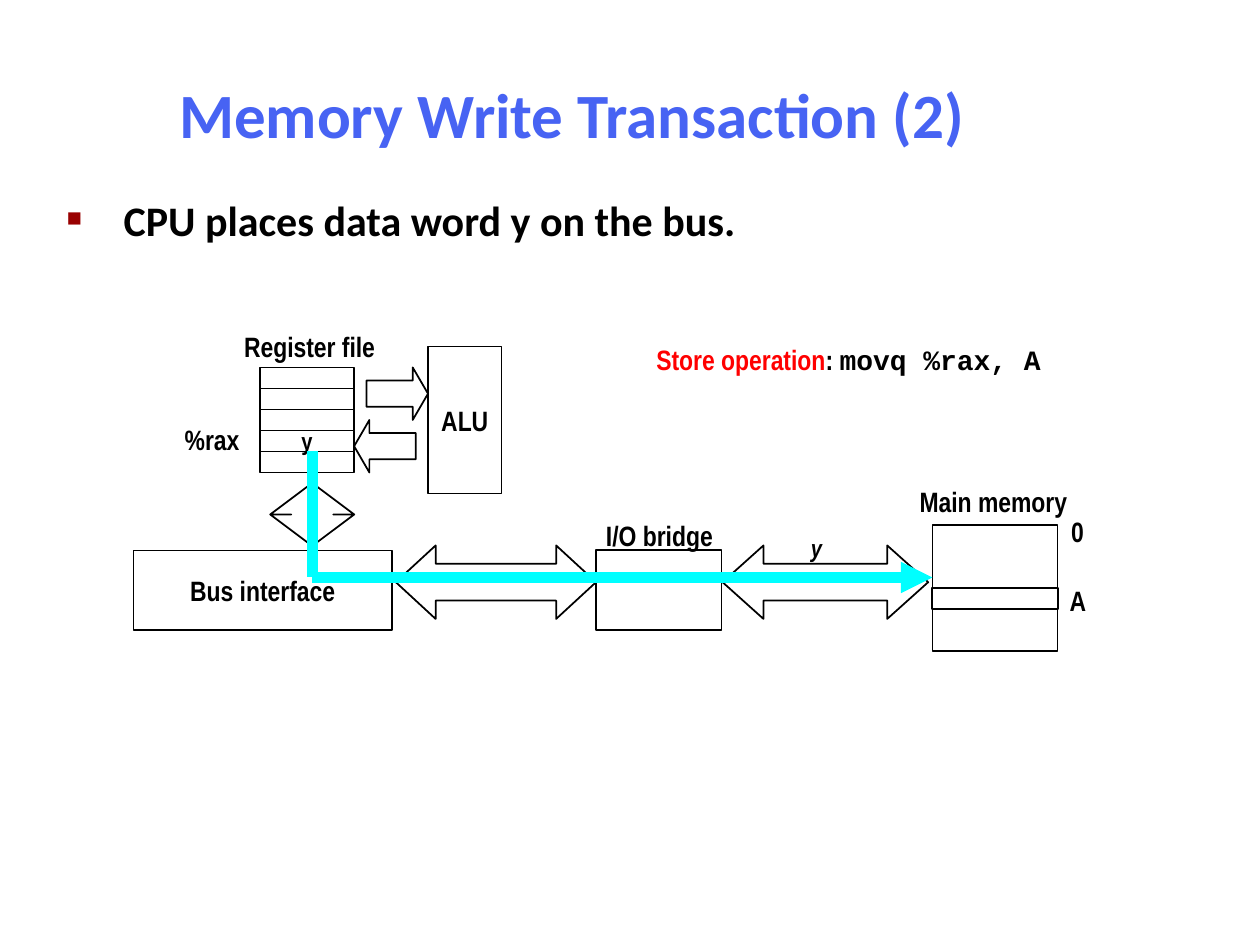
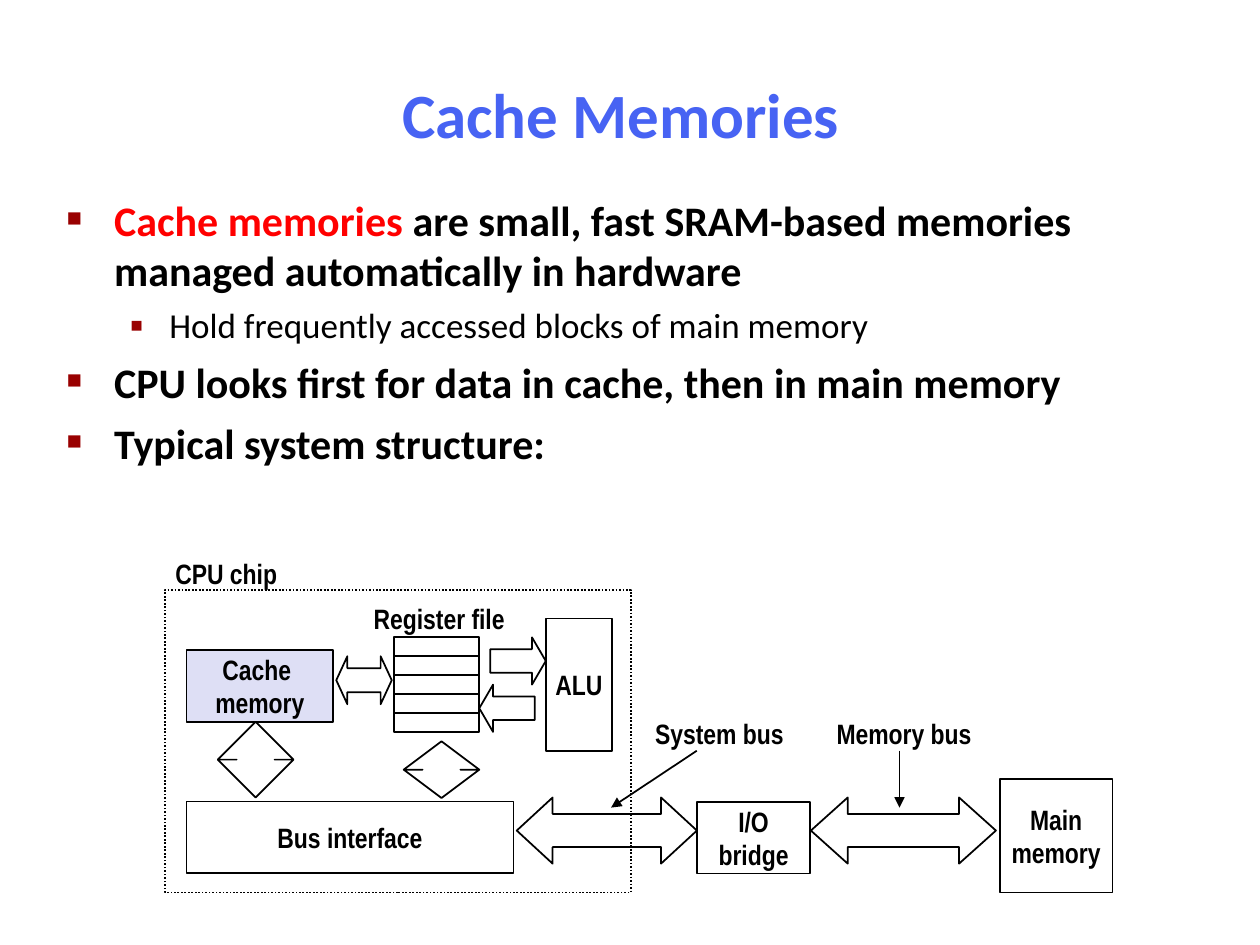
from dataclasses import dataclass
from typing import Any, Optional

import pptx
import pptx.dml.color
import pptx.enum.dml
import pptx.enum.shapes
import pptx.enum.text
import pptx.oxml.ns
import pptx.util
from lxml import etree

Pt = pptx.util.Pt
Preset = pptx.enum.shapes.MSO_SHAPE
Align = pptx.enum.text.PP_ALIGN
Anchor = pptx.enum.text.MSO_ANCHOR
AutoSize = pptx.enum.text.MSO_AUTO_SIZE
qn = pptx.oxml.ns.qn

# Shared look
BLUE, RED, BLACK, WHITE = "4763F3", "FF0000", "000000", "FFFFFF"
BULLET_RED, SIGNAL_CYAN, CACHE_LILAC = "990000", "00FFFF", "DEDFF5"
PROSE, DIAGRAM, CODE = "Calibri", "Arial Narrow", "Courier New"
# Up-down arrows take the head length first, then the shaft width
UP_DOWN_ADJ = (0.2, 0.5)


@dataclass
class Part:
    """A drawn block; adj holds the preset's adjustment values."""
    preset: Any
    left: float
    top: float
    width: float
    height: float
    text: str = ""
    adj: tuple = ()
    fill: Optional[str] = None
    size: float = 16


@dataclass
class Label:
    text: str
    left: float
    top: float
    width: float
    size: float = 16
    italic: bool = False


@dataclass
class Line:
    start: tuple
    end: tuple
    color: str = BLACK
    weight: float = 1
    arrow: bool = True


@dataclass
class BulletStyle:
    char: str
    face: str
    percent: int
    margin: float
    hang: float
    before: float
    size: float
    bold: bool


BULLETS = (BulletStyle("■", CODE, 60, 27, 27, 6, 24, True),
           BulletStyle("▪", PROSE, 110, 58.5, 22.5, 5, 20, False))


def rgb(value: str) -> pptx.dml.color.RGBColor:
    return pptx.dml.color.RGBColor.from_string(value)


def style_font(font, name: str, size: float, color: Optional[str] = BLACK,
               bold: bool = True, italic: bool = False) -> None:
    font.name, font.size, font.bold, font.italic = name, Pt(size), bold, italic
    if color:
        font.color.rgb = rgb(color)


def set_indent(paragraph, margin: float, hang: float):
    properties = paragraph._p.get_or_add_pPr()
    properties.set("marL", str(Pt(margin)))
    properties.set("indent", str(-Pt(hang)))
    return properties


# Title and list
def place(holder, left: float, top: float, width: float, height: float):
    holder.left, holder.top = Pt(left), Pt(top)
    holder.width, holder.height = Pt(width), Pt(height)
    holder.text_frame.auto_size = AutoSize.NONE
    return holder.text_frame


def add_title(slide, text: str, left: float) -> None:
    frame = place(slide.shapes.title, left, 34.5, 597.5, 60)
    frame.vertical_anchor = Anchor.MIDDLE
    frame.text = text
    heading = frame.paragraphs[0]
    set_indent(heading, 9, 9)
    heading.alignment = Align.CENTER
    style_font(heading.font, PROSE, 36, BLUE)


def add_list(slide, items: list) -> None:
    """Each item is a level and its (text, colour) runs."""
    frame = place(slide.placeholders[1], 31, 107.5, 622, 391.5)
    frame.vertical_anchor = Anchor.TOP
    for index, (level, runs) in enumerate(items):
        item = frame.add_paragraph() if index else frame.paragraphs[0]
        style = BULLETS[level]
        item.level = level
        item.space_before = Pt(style.before)
        properties = set_indent(item, style.margin, style.hang)
        color = etree.SubElement(properties, qn("a:buClr"))
        etree.SubElement(color, qn("a:srgbClr"), val=BULLET_RED)
        etree.SubElement(properties, qn("a:buSzPct"), val=str(style.percent * 1000))
        etree.SubElement(properties, qn("a:buFont"), typeface=style.face)
        etree.SubElement(properties, qn("a:buChar"), char=style.char)
        style_font(item.font, PROSE, style.size, None, style.bold)
        for text, run_color in runs:
            run = item.add_run()
            run.text = text
            run.font.color.rgb = rgb(run_color)


# Diagram pieces
def add_part(slide, part: Part):
    shape = slide.shapes.add_shape(part.preset, Pt(part.left), Pt(part.top),
                                   Pt(part.width), Pt(part.height))
    shape.shadow.inherit = False
    if part.fill:
        shape.fill.solid()
        shape.fill.fore_color.rgb = rgb(part.fill)
    else:
        shape.fill.background()
    shape.line.color.rgb = rgb(BLACK)
    shape.line.width = Pt(1)
    for index, value in enumerate(part.adj):
        shape.adjustments[index] = value
    if part.text:
        frame = shape.text_frame
        frame.word_wrap = False
        frame.vertical_anchor = Anchor.MIDDLE
        frame.text = part.text
        for paragraph in frame.paragraphs:
            paragraph.alignment = Align.CENTER
            style_font(paragraph.font, DIAGRAM, part.size)
    return shape


def add_text_box(slide, left: float, top: float, width: float, height: float):
    frame = slide.shapes.add_textbox(Pt(left), Pt(top), Pt(width), Pt(height)).text_frame
    frame.word_wrap = False
    frame.auto_size = AutoSize.SHAPE_TO_FIT_TEXT
    return frame


def add_label(slide, label: Label) -> None:
    frame = add_text_box(slide, label.left, label.top, label.width, label.size * 1.2 + 7.4)
    frame.vertical_anchor = Anchor.MIDDLE
    frame.text = label.text
    caption = frame.paragraphs[0]
    caption.alignment = Align.CENTER
    style_font(caption.font, DIAGRAM, label.size, italic=label.italic)


def add_line(slide, line: Line) -> None:
    connector = slide.shapes.add_connector(
        pptx.enum.shapes.MSO_CONNECTOR.STRAIGHT, *map(Pt, line.start + line.end))
    connector.line.color.rgb = rgb(line.color)
    connector.line.width = Pt(line.weight)
    if line.arrow:
        etree.SubElement(connector.line._get_or_add_ln(), qn("a:tailEnd"), type="triangle")
    etree.SubElement(connector._element.spPr, qn("a:effectLst"))


def add_computer(slide, left: float, top: float, scale: float, registers: tuple,
                 bridge: str = "", memory: str = "") -> None:
    """Registers, ALU, buses, bridge and memory; left and top fix the register file."""
    slots = [Part(Preset.RECTANGLE, 0, 12 * row, 54, 12, text, size=14)
             for row, text in enumerate(registers)]
    blocks = [
        Part(Preset.RECTANGLE, 384.5, 90, 71.5, 72, memory),
        Part(Preset.LEFT_RIGHT_ARROW, 264.5, 101.7, 117.5, 42, adj=(0.5, 0.557)),
        Part(Preset.RECTANGLE, 192.4, 104.4, 71.5, 45.5, bridge),
        Part(Preset.LEFT_RIGHT_ARROW, 77.8, 101.7, 114.4, 42, adj=(0.5, 0.542)),
        Part(Preset.RIGHT_ARROW, 61, 0, 35.2, 30, adj=(0.5, 0.291)),
        Part(Preset.LEFT_ARROW, 54, 30, 35.2, 30, adj=(0.5, 0.291)),
        Part(Preset.RECTANGLE, 96.2, -12, 42, 84, "ALU"),
        Part(Preset.UP_DOWN_ARROW, 6, 66, 48, 36, adj=UP_DOWN_ADJ),
    ]
    for part in blocks + slots:
        part.left, part.top = left + part.left * scale, top + part.top * scale
        part.width, part.height = part.width * scale, part.height * scale
        add_part(slide, part)
    add_label(slide, Label("Register file", left + 28.5 * scale - 44.6,
                           top - 12 * scale - 13.3, 89.3))


# Slide 1: the data word travels to memory
def build_write_transaction(slide) -> None:
    add_title(slide, "Memory Write Transaction (2)", 28)
    add_list(slide, [(0, [(" CPU places data word y on the bus.", BLACK)])])
    add_computer(slide, 148.4, 210, 1, ("", "", "", "y", ""))
    add_part(slide, Part(Preset.RECTANGLE, 76.3, 314.5, 147.6, 45.5, "Bus interface", fill=WHITE))
    add_label(slide, Label("y", 456, 301, 21, size=14, italic=True))
    corner = (178.5, 330)
    add_line(slide, Line((178.5, 258), corner, SIGNAL_CYAN, 6, arrow=False))
    add_line(slide, Line(corner, (532.8, 330), SIGNAL_CYAN, 6))
    add_part(slide, Part(Preset.RECTANGLE, 532.5, 336, 72, 12))
    for label in (Label("Main memory", 518.4, 273.2, 98.6),
                  Label("0", 605, 290.5, 21.6),
                  Label("A", 604, 330, 23.8),
                  Label("%rax", 91.2, 237.6, 60),
                  Label("I/O bridge", 339, 292.7, 75.6)):
        add_label(slide, label)
    operation = add_text_box(slide, 368, 192.3, 234, 46).paragraphs[0]
    style_font(operation.font, DIAGRAM, 16, None)
    for text, color, face in (("Store operation", RED, DIAGRAM), (": ", BLACK, DIAGRAM),
                              ("movq %rax, A", BLACK, CODE)):
        run = operation.add_run()
        run.text = text
        run.font.name = face
        run.font.color.rgb = rgb(color)


# Slide 2: where the cache sits
def build_cache_memories(slide) -> None:
    add_title(slide, "Cache Memories", 56)
    add_list(slide, [
        (0, [("Cache memories ", RED),
             ("are small, fast SRAM-based memories managed automatically in hardware", BLACK)]),
        (1, [("Hold frequently accessed blocks of main memory", BLACK)]),
        (0, [("CPU looks first for data in cache, then in main memory", BLACK)]),
        (0, [("Typical system structure:", BLACK)]),
    ])
    add_computer(slide, 225.3, 364.2, 0.9, ("",) * 5, "I/O\nbridge", "Main\nmemory")
    chip = add_part(slide, Part(Preset.RECTANGLE, 94.3, 337, 266.2, 173))
    chip.line.dash_style = pptx.enum.dml.MSO_LINE.ROUND_DOT
    for part in (
            Part(Preset.RECTANGLE, 106.5, 458, 187, 41, "Bus interface"),
            Part(Preset.RECTANGLE, 106.5, 371.5, 84, 41, "Cache \nmemory", fill=CACHE_LILAC),
            Part(Preset.UP_DOWN_ARROW, 124.5, 412.5, 43.2, 43.2, adj=UP_DOWN_ADJ),
            Part(Preset.LEFT_RIGHT_ARROW, 192.2, 375, 31.7, 27.4, adj=(0.5, 0.231))):
        add_part(slide, part)
    for label in (Label("CPU chip", 92.9, 314.3, 72.7),
                  Label("System bus", 367.2, 406, 87.8),
                  Label("Memory bus", 470.9, 406, 91.4)):
        add_label(slide, label)
    add_line(slide, Line((398.2, 429), (349.2, 461.5)))
    add_line(slide, Line((514, 429), (514, 461.5)))


def main() -> None:
    deck = pptx.Presentation()
    deck.slide_width, deck.slide_height = Pt(720), Pt(540)
    for build in (build_write_transaction, build_cache_memories):
        build(deck.slides.add_slide(deck.slide_layouts[1]))
    deck.save("out.pptx")


if __name__ == "__main__":
    main()
